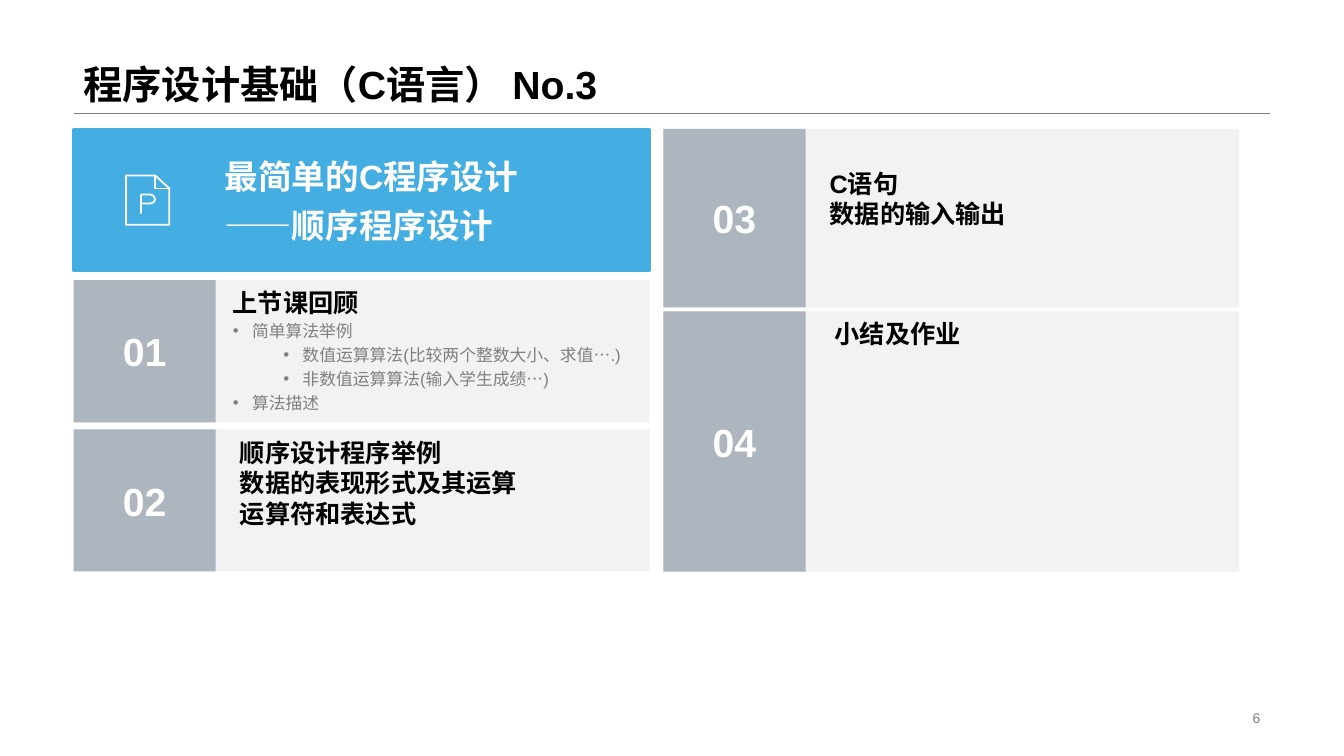
"""Build the agenda slide of the third C programming lecture."""
import pptx
import pptx.dml.color
import pptx.enum.shapes
import pptx.enum.text
import pptx.oxml.ns
import pptx.util
from lxml import etree

PX = 9144
COLORS = {"ink": "000000", "grey": "808080", "white": "FFFFFF",
          "panel": "F2F2F2", "number": "ADB5BF", "banner": "44ADE1"}
ALIGN = pptx.enum.text.PP_ALIGN
ANCHOR = pptx.enum.text.MSO_ANCHOR
NUMBER_WIDTH = 141
PANEL_WIDTH = 571
LEFT, RIGHT = 73, 658
PANELS = [
    ("01", LEFT, 278, 141, (221, 280), ["上节课回顾"]),
    ("02", LEFT, 426, 141, (228, 429),
     ["顺序设计程序举例", "数据的表现形式及其运算", "运算符和表达式"]),
    ("03", RIGHT, 128, 177, (813, 162), ["C语句", "数据的输入输出"]),
    ("04", RIGHT, 309, 258, (818, 311), ["小结及作业"]),
]
REVIEW = [
    (0, "简单算法举例"),
    (1, "数值运算算法(比较两个整数大小、求值….)"),
    (1, "非数值运算算法(输入学生成绩…)"),
    (0, "算法描述"),
]
PAGE_ICON = [
    [(125, 174), (154, 174), (168, 187), (168, 223), (125, 223), (125, 174)],
    [(154, 174), (154, 187), (168, 187)],
    [(140, 212), (140, 193), (149, 193), (152, 194), (154, 198),
     (152, 201), (149, 202), (140, 202)],
]


def rgb(name):
    """Look up a named colour."""
    return pptx.dml.color.RGBColor.from_string(COLORS[name])


def place(shape, left, top, width, height):
    """Move and size a shape in px."""
    shape.left, shape.top = left * PX, top * PX
    shape.width, shape.height = width * PX, height * PX


def write(frame, lines, size, color, bold=False, align=ALIGN.LEFT,
          anchor=ANCHOR.TOP, spacing=1.0):
    """Fill a text frame and format all its runs."""
    frame.text = "\n".join(lines)
    frame.word_wrap = True
    frame.auto_size = pptx.enum.text.MSO_AUTO_SIZE.NONE
    frame.vertical_anchor = anchor
    for paragraph in frame.paragraphs:
        paragraph.alignment = align
        paragraph.line_spacing = spacing
        paragraph.space_before = pptx.util.Pt(0)
        for run in paragraph.runs:
            run.font.name = "Arial"
            run.font.size = pptx.util.Pt(size)
            run.font.bold = bold
            run.font.color.rgb = rgb(color)


def add_label(slide, box, lines, size, color, **style):
    """Add a text box with formatted lines."""
    label = slide.shapes.add_textbox(*(value * PX for value in box))
    write(label.text_frame, lines, size, color, **style)


def add_block(slide, box, color):
    """Add a plain filled rectangle."""
    block = slide.shapes.add_shape(pptx.enum.shapes.MSO_SHAPE.RECTANGLE,
                                   *(value * PX for value in box))
    block.shadow.inherit = False
    block.fill.solid()
    block.fill.fore_color.rgb = rgb(color)
    block.line.fill.background()
    return block


def add_panel(slide, number, left, top, height, heading_at, heading):
    """Add a numbered agenda panel with its heading."""
    add_block(slide, (left, top, PANEL_WIDTH, height), "panel")
    badge = add_block(slide, (left, top, NUMBER_WIDTH, height), "number")
    write(badge.text_frame, [number], 28, "white", bold=True,
          align=ALIGN.CENTER, anchor=ANCHOR.MIDDLE)
    add_label(slide, (*heading_at, 391, 10 + 30 * len(heading)), heading,
              18, "ink", bold=True)


def add_outline(slide, points):
    """Draw one white stroke of the page icon."""
    builder = slide.shapes.build_freeform(*points[0], scale=PX)
    builder.add_line_segments(points[1:], close=False)
    stroke = builder.convert_to_shape()
    stroke.shadow.inherit = False
    stroke.fill.background()
    stroke.line.color.rgb = rgb("white")
    stroke.line.width = pptx.util.Pt(1.25)


def add_banner(slide):
    """Add the blue topic banner with its page icon."""
    banner = add_block(slide, (LEFT, 128, PANEL_WIDTH, 141), "banner")
    banner.line.color.rgb = rgb("banner")
    banner.line.width = pptx.util.Pt(2)
    add_label(slide, (213, 145, 406, 103),
              ["最简单的C程序设计", "——顺序程序设计"], 24, "white",
              bold=True, anchor=ANCHOR.BOTTOM, spacing=1.2)
    for points in PAGE_ICON:
        add_outline(slide, points)


def add_title_rule(slide):
    """Draw the thin rule below the title."""
    rule = slide.shapes.add_connector(
        pptx.enum.shapes.MSO_CONNECTOR.STRAIGHT,
        LEFT * PX, 112 * PX, 1260 * PX, 112 * PX)
    rule.line.color.rgb = rgb("grey")
    rule.line.width = pptx.util.Pt(0.25)
    etree.SubElement(rule._element.spPr, pptx.oxml.ns.qn("a:effectLst"))


def fill_review(review):
    """Fill the body placeholder with the two-level review list."""
    place(review, 221, 309, 422, 109)
    frame = review.text_frame
    write(frame, [text for _, text in REVIEW], 12, "grey", spacing=1.2)
    frame.word_wrap = False
    for paragraph, (level, _) in zip(frame.paragraphs, REVIEW):
        paragraph.level = level
        properties = paragraph._p.get_or_add_pPr()
        properties.set("marL", str((19 + 50 * level) * PX))
        properties.set("indent", str(-19 * PX))
        bullet_font = etree.SubElement(properties,
                                       pptx.oxml.ns.qn("a:buFont"))
        bullet_font.set("typeface", "Arial")
        bullet = etree.SubElement(properties, pptx.oxml.ns.qn("a:buChar"))
        bullet.set("char", "•")


def bring_to_front(slide, shape):
    """Put a shape above all others."""
    slide.shapes._spTree.append(shape._element)


def main():
    """Build and save the slide."""
    deck = pptx.Presentation()
    deck.slide_width, deck.slide_height = 1333 * PX, 750 * PX
    slide = deck.slides.add_slide(deck.slide_layouts[1])
    title, review = slide.placeholders
    place(title, LEFT, 0, 1187, 112)
    write(title.text_frame, ["程序设计基础（C语言） No.3"], 28, "ink",
          bold=True, anchor=ANCHOR.BOTTOM, spacing=0.9)
    add_title_rule(slide)
    add_banner(slide)
    for panel in PANELS:
        add_panel(slide, *panel)
    fill_review(review)
    bring_to_front(slide, review)
    add_label(slide, (942, 701, 318, 23), ["6"], 10, "grey",
              align=ALIGN.RIGHT, anchor=ANCHOR.MIDDLE)
    deck.save("out.pptx")


if __name__ == "__main__":
    main()
